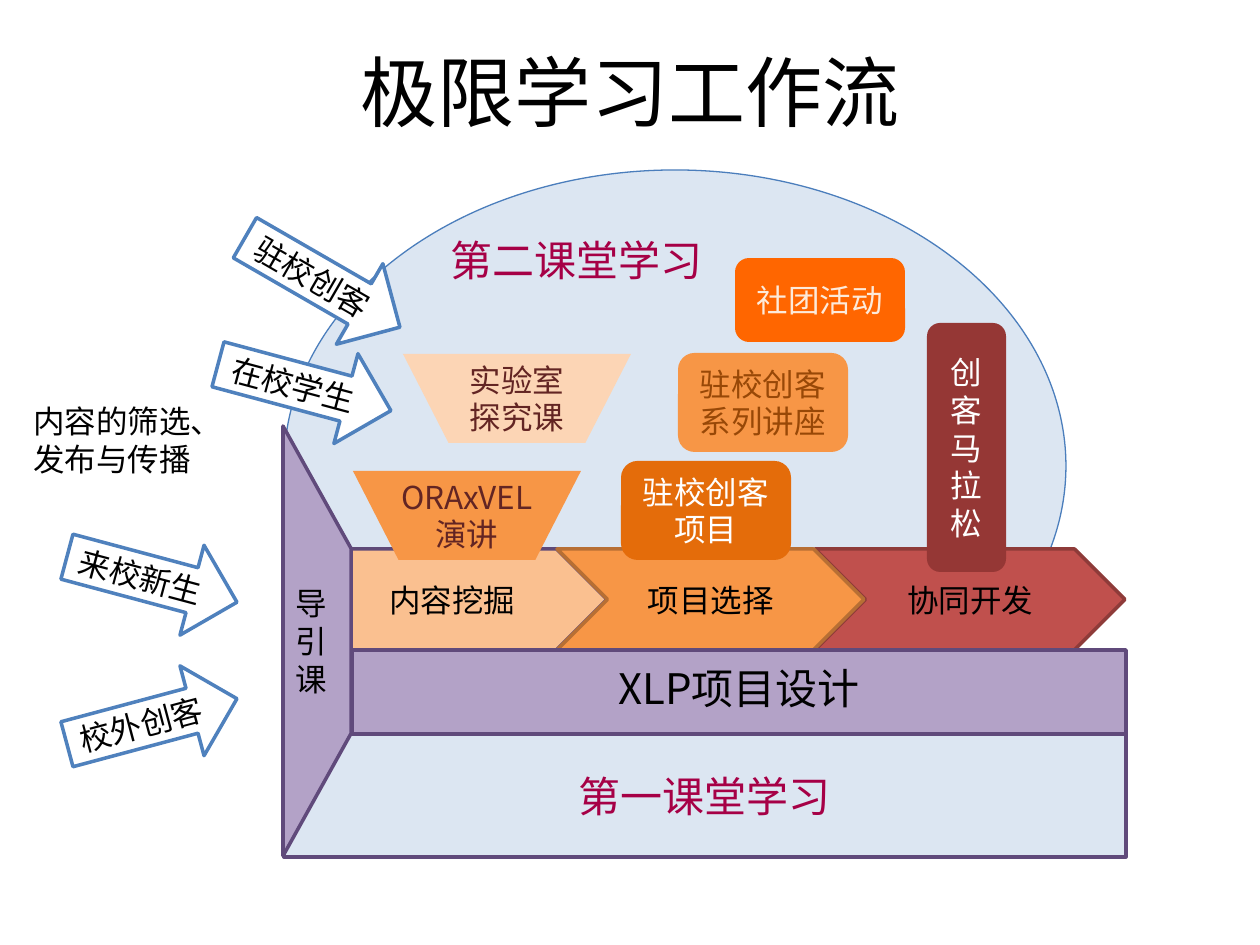
from pptx import Presentation
from pptx.util import Pt
from pptx.dml.color import RGBColor
from pptx.enum.shapes import MSO_SHAPE as SHAPE
from pptx.enum.text import PP_ALIGN as ALIGN, MSO_ANCHOR as ANCHOR
from pptx.oxml.ns import qn
from lxml.etree import SubElement

PX = 914400 / 126
FONT = "Noto Sans CJK SC"
COLORS = {
    "black": "000000", "white": "FFFFFF", "pale_blue": "DCE6F2",
    "dome_line": "4B7EBC", "arrow_line": "4F81BD", "crimson": "A60046",
    "red": "C0504D", "red_line": "8E3B39", "dark_red": "953735",
    "orange": "F79646", "orange_line": "B76F34", "deep_orange": "E46C0A",
    "vivid_orange": "FF6600", "light_orange": "FAC090", "peach": "FCD5B5",
    "cream": "FDEADA", "brown": "984807", "maroon": "632523",
    "purple": "B3A2C7", "purple_line": "604A7B", "chevron_line": "5F4A78",
}

deck = Presentation()
deck.slide_width, deck.slide_height = round(1260 * PX), round(945 * PX)
slide = deck.slides.add_slide(deck.slide_layouts[6])


def write(holder, text, color, size=18, align=ALIGN.CENTER, anchor=ANCHOR.MIDDLE, wrap=True):
    frame = holder.text_frame
    frame.word_wrap = wrap
    frame.vertical_anchor = anchor
    for i, line in enumerate(text.split("\n")):
        para = frame.add_paragraph() if i else frame.paragraphs[0]
        para.alignment = align
        run = para.add_run()
        run.text = line
        run.font.size = Pt(size)
        run.font.name = FONT
        run.font.color.rgb = RGBColor.from_string(COLORS[color])
        SubElement(run.font._element, qn("a:ea")).set("typeface", FONT)
    return frame


def block(preset, box, fill, line=None, width=2):
    shape = slide.shapes.add_shape(preset, *(round(v * PX) for v in box))
    shape.shadow.inherit = False
    shape.fill.solid()
    shape.fill.fore_color.rgb = RGBColor.from_string(COLORS[fill])
    if line:
        shape.line.color.rgb = RGBColor.from_string(COLORS[line])
        shape.line.width = Pt(width)
    else:
        shape.line.fill.background()
    return shape


# Dome: second classroom
dome = block(SHAPE.OVAL, (284, 170, 782, 592), "pale_blue", "dome_line", 0.75)
dome_text = write(dome, "第二课堂学习", "crimson", 24, ALIGN.LEFT, ANCHOR.TOP)
dome_text.margin_left, dome_text.margin_top = round(15 * PX), 0
dome_heading = dome_text.paragraphs[0]
dome_heading.line_spacing = 0.5
dome_heading._p.get_or_add_pPr().set("marL", str(round(37 * PX)))

# Workflow stages
for stage, left, width, fill, line in [
    ("协同开发", 815, 310, "red", "red_line"),
    ("内容挖掘", 297, 310, "light_orange", "chevron_line"),
    ("项目选择", 557, 307, "orange", "orange_line"),
]:
    write(block(SHAPE.CHEVRON, (left, 549, width, 101), fill, line), stage, "black")

# Base: project design and first classroom
design = block(SHAPE.RECTANGLE, (352, 650, 774, 84), "purple", "purple_line")
write(design, "XLP项目设计", "black", 24).paragraphs[0].line_spacing = 0.8
first_class = block(SHAPE.RECTANGLE, (284, 734, 842, 123), "pale_blue", "purple_line")
write(first_class, "第一课堂学习", "crimson", 24)

# Title
title = slide.shapes.add_textbox(*(round(v * PX) for v in (63, 38, 1134, 158)))
write(title, "极限学习工作流", "black", 44, anchor=ANCHOR.TOP)

# Introductory course: the gate on the left
gate = block(SHAPE.TRAPEZOID, (102, 607, 430, 68), "purple", "purple_line")
gate.adjustments[0] = 1.8
gate.rotation = 90
write(gate, "导引课", "black")._txBody.bodyPr.set("vert", "vert270")

# Funnels feeding content
for topic, left, top, fill in [
    ("ORAxVEL\n演讲", 353, 471, "orange"),
    ("实验室\n探究课", 403, 354, "peach"),
]:
    funnel = block(SHAPE.FLOWCHART_MANUAL_OPERATION, (left, top, 228, 89), fill)
    write(funnel, topic, "maroon", wrap=False)

# Activities
for activity, box, fill, color in [
    ("驻校创客系列讲座", (678, 353, 170, 99), "orange", "brown"),
    ("驻校创客项目", (621, 461, 170, 99), "deep_orange", "white"),
    ("创客马拉松", (927, 323, 79, 249), "dark_red", "white"),
    ("社团活动", (735, 258, 170, 84), "vivid_orange", "cream"),
]:
    write(block(SHAPE.ROUNDED_RECTANGLE, box, fill), activity, color)

# Participants entering
for people, left, top, width, angle in [
    ("来校新生", 64, 533, 176, 15),
    ("校外创客", 64, 675, 176, 345),
    ("在校学生", 215, 341, 179, 15),
    ("驻校创客", 233, 236, 179, 30),
]:
    arrow = block(SHAPE.RIGHT_ARROW, (left, top, width, 93), "white", "arrow_line")
    arrow.rotation = angle
    write(arrow, people, "black", wrap=False)

# Side note
note = slide.shapes.add_textbox(*(round(v * PX) for v in (21, 396, 208, 89)))
write(note, "内容的筛选、发布与传播", "black", align=ALIGN.LEFT, anchor=ANCHOR.TOP)

deck.save("out.pptx")
